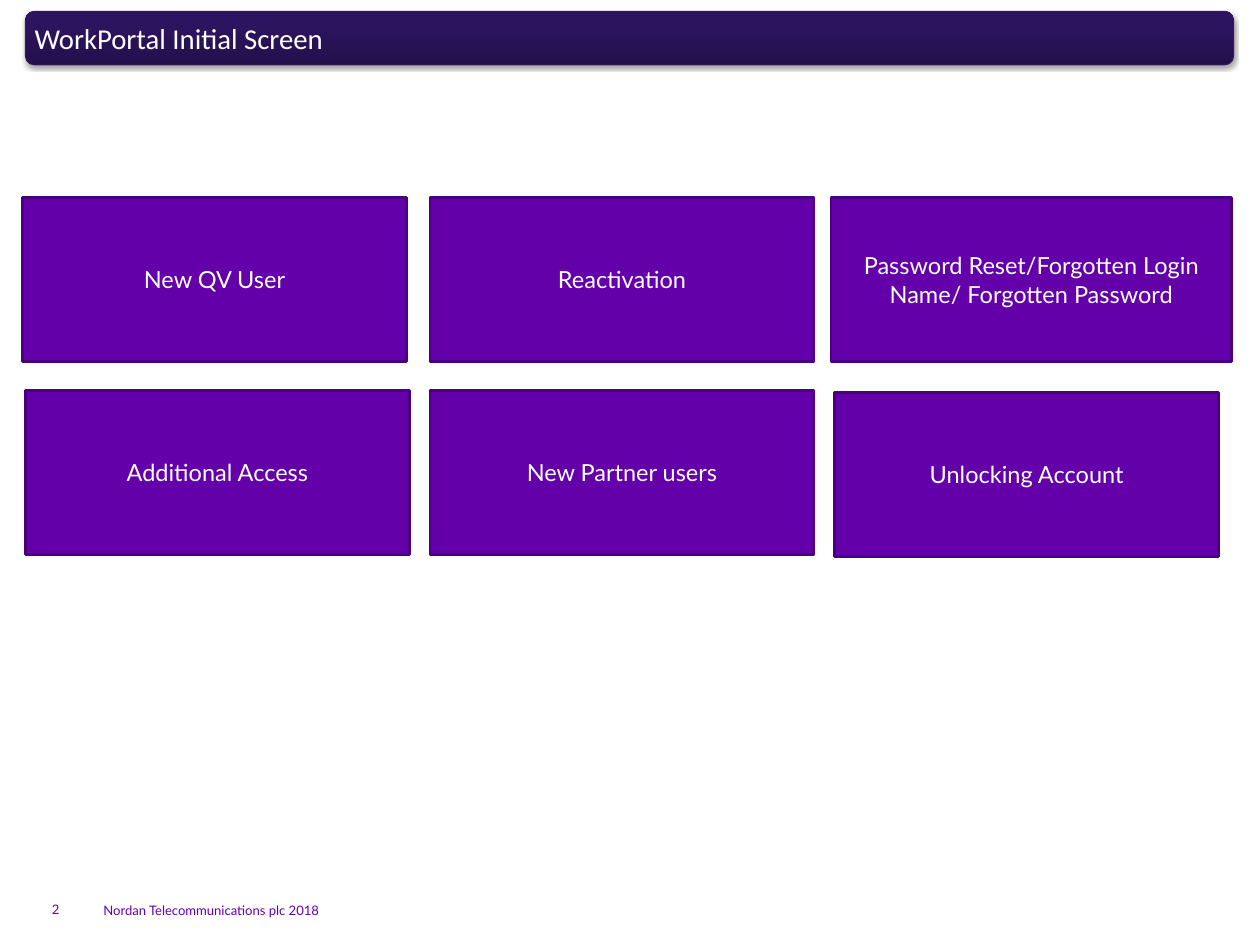
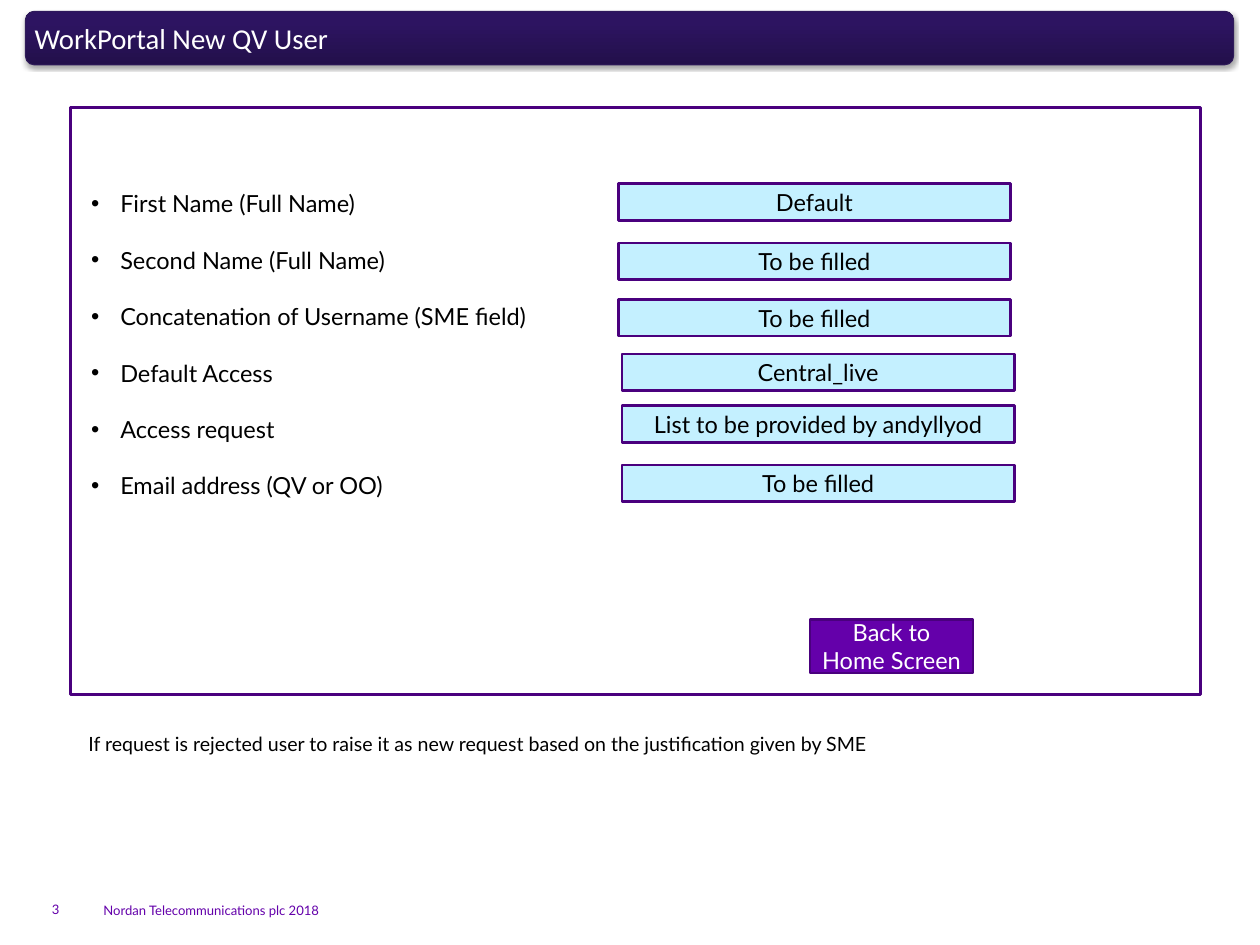
"""Build two access-request screens: the home menu and the new user form."""
import lxml.etree
import pptx
import pptx.dml.color
import pptx.enum.shapes
import pptx.enum.text
import pptx.oxml
import pptx.oxml.ns
import pptx.util

WIDTH, HEIGHT = 13.39, 10.04
COLOURS = {
    "purple": "6400AA", "edge": "4A007E", "field": "C4F0FF",
    "white": "FFFFFF", "black": "000000", "band_edge": "301C5A",
}
BAND_STOPS = [(0, "23104B"), (80, "2D1461"), (100, "2D1363")]
FOOTER = "Nordan Telecommunications plc 2018"

MENU_TITLE = "WorkPortal Initial Screen"
MENU_COLUMNS = 3
MENU = [
    {"label": "New QV User", "nudge": (-0.03, 0)},
    {"label": "Reactivation"},
    {"label": "Password Reset/Forgotten Login Name/ Forgotten Password",
     "nudge": (-0.04, 0), "widen": 0.18},
    {"label": "Additional Access"},
    {"label": "New Partner users"},
    {"label": "Unlocking Account", "nudge": (0, 0.02)},
]

FORM_TITLE = "WorkPortal New QV User"
FORM = [
    ("First Name (Full Name)", "Default", (0, 0)),
    ("Second Name (Full Name)", "To be filled", (0, 0.03)),
    ("Concatenation of Username (SME field)", "To be filled", (0, 0.03)),
    ("Default Access", "Central_live", (0.04, 0.01)),
    ("Access request", "List to be provided by andyllyod", (0.04, -0.04)),
    ("Email address (QV or OO)", "To be filled", (0.04, -0.01)),
]
BACK = "Back to Home Screen"
NOTE = ("If request is rejected user to raise it as new request "
        "based on the justification given by SME")

MARGIN = 0.27
TILE_TOP, TILE_W, TILE_H = 2.1, 4.08, 1.74
TILE_STEP_X, TILE_STEP_Y = 4.3, 2.05
FIELD_LEFT, FIELD_TOP, FIELD_W, FIELD_H = 6.57, 1.95, 4.17, 0.39
FIELD_STEP = 0.6
BULLET_INDENT = 0.31
LINE_GAP = 21.6


def rgb(name):
    return pptx.dml.color.RGBColor.from_string(COLOURS[name])


def box_of(left, top, width, height):
    return [pptx.util.Inches(length) for length in (left, top, width, height)]


def write(holder, lines, size=18, font="Lato", colour="black", align="LEFT",
          anchor="TOP", insets=(0.1, 0.05), bullet=None, gap=0):
    frame = holder.text_frame
    frame.word_wrap = True
    frame.vertical_anchor = pptx.enum.text.MSO_ANCHOR[anchor]
    frame.margin_left = frame.margin_right = pptx.util.Inches(insets[0])
    frame.margin_top = frame.margin_bottom = pptx.util.Inches(insets[1])
    frame.text = "\n".join(lines)
    for order, paragraph in enumerate(frame.paragraphs):
        paragraph.alignment = pptx.enum.text.PP_ALIGN[align]
        paragraph.space_before = pptx.util.Pt(gap if order else 0)
        paragraph.font.size = pptx.util.Pt(size)
        for run in paragraph.runs:
            run.font.size = pptx.util.Pt(size)
            run.font.name = font
            run.font.color.rgb = rgb(colour)
        if bullet:
            props = paragraph._p.get_or_add_pPr()
            indent = pptx.util.Inches(BULLET_INDENT)
            props.set("marL", str(indent))
            props.set("indent", str(-indent))
            face = lxml.etree.SubElement(props, pptx.oxml.ns.qn("a:buFont"))
            face.set("typeface", "Arial")
            mark = lxml.etree.SubElement(props, pptx.oxml.ns.qn("a:buChar"))
            mark.set("char", bullet)


def add_text(slide, place, lines, **style):
    write(slide.shapes.add_textbox(*box_of(*place)), lines, **style)


def add_box(slide, place, fill, edge="edge", weight=2, kind="RECTANGLE"):
    outline = pptx.enum.shapes.MSO_SHAPE[kind]
    box = slide.shapes.add_shape(outline, *box_of(*place))
    box.shadow.inherit = False
    box.fill.solid()
    box.fill.fore_color.rgb = rgb(fill)
    box.line.color.rgb = rgb(edge)
    box.line.width = pptx.util.Pt(weight)
    return box


def add_label_box(slide, place, label, fill, colour):
    write(add_box(slide, place, fill), [label], colour=colour,
          align="CENTER", anchor="MIDDLE")


def style_band(band):
    namespace = pptx.oxml.ns.nsdecls("a")
    stops = "".join(
        f'<a:gs pos="{share * 1000}"><a:srgbClr val="{colour}"/></a:gs>'
        for share, colour in BAND_STOPS)
    gradient = pptx.oxml.parse_xml(
        f'<a:gradFill {namespace} rotWithShape="1"><a:gsLst>{stops}</a:gsLst>'
        '<a:lin ang="16200000" scaled="0"/></a:gradFill>')
    shadow = pptx.oxml.parse_xml(
        f'<a:outerShdw {namespace} blurRad="{pptx.util.Pt(3.1)}" '
        f'dist="{pptx.util.Pt(1.8)}" dir="5400000" rotWithShape="0">'
        f'<a:srgbClr val="{COLOURS["black"]}"><a:alpha val="35000"/>'
        '</a:srgbClr></a:outerShdw>')
    props = band._element.spPr
    props.replace(props.find(pptx.oxml.ns.qn("a:solidFill")), gradient)
    props.find(pptx.oxml.ns.qn("a:effectLst")).append(shadow)


def add_screen(deck, title, number):
    slide = deck.slides.add_slide(deck.slide_layouts[6])
    small = {"size": 10, "colour": "purple", "anchor": "BOTTOM", "insets": (0, 0)}
    add_text(slide, (1.1, 9.46, 2.36, 0.29), [FOOTER], **small)
    add_text(slide, (0.55, 9.32, 0.39, 0.42), [str(number)], **small)
    band = add_box(slide, (MARGIN, 0.12, 12.84, 0.57), "edge", "band_edge",
                   0.75, "ROUNDED_RECTANGLE")
    style_band(band)
    write(band, [title], size=22, font="Calibri", colour="white",
          anchor="MIDDLE", insets=(0.07, 0.04))
    return slide


def add_menu(slide):
    for order, tile in enumerate(MENU):
        row, column = divmod(order, MENU_COLUMNS)
        dx, dy = tile.get("nudge", (0, 0))
        place = (MARGIN + column * TILE_STEP_X + dx,
                 TILE_TOP + row * TILE_STEP_Y + dy,
                 TILE_W + tile.get("widen", 0), TILE_H)
        add_label_box(slide, place, tile["label"], "purple", "white")


def add_form(slide):
    add_box(slide, (0.75, 1.14, 12.01, 6.24), "white")
    add_text(slide, (0.87, 1.96, 6.14, 4.04), [label for label, _, _ in FORM],
             bullet="•", gap=LINE_GAP)
    for row, (_, entry, (dx, dy)) in enumerate(FORM):
        place = (FIELD_LEFT + dx, FIELD_TOP + row * FIELD_STEP + dy,
                 FIELD_W, FIELD_H)
        add_label_box(slide, place, entry, "field", "black")
    add_label_box(slide, (8.61, 6.58, 1.73, 0.57), BACK, "purple", "white")
    add_text(slide, (0.94, 7.78, 11.81, 1.13), [NOTE], size=15, insets=(0, 0))


deck = pptx.Presentation()
deck.slide_width = pptx.util.Inches(WIDTH)
deck.slide_height = pptx.util.Inches(HEIGHT)
screens = [(MENU_TITLE, add_menu), (FORM_TITLE, add_form)]
for number, (title, add_content) in enumerate(screens, start=2):
    add_content(add_screen(deck, title, number))
deck.save("out.pptx")
